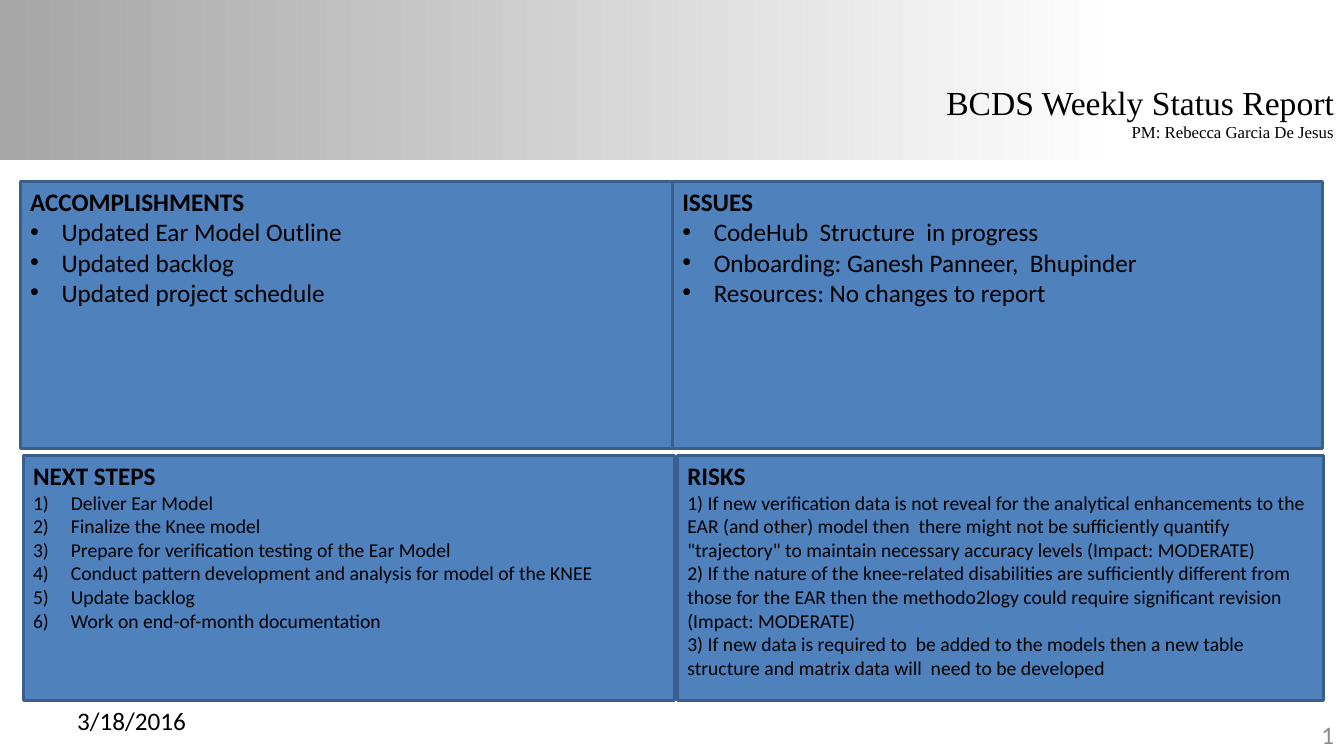
from lxml import etree
from pptx import Presentation
from pptx import util as u
from pptx.dml import color
from pptx.enum import shapes, text
from pptx.oxml import ns

COLORS = {
    "ink": "000000",
    "page": "8C8C8C",
    "panel": "4F81BD",
    "edge": "3A5F8C",
    "band_start": "A6A6A6",
    "band_end": "FFFFFF",
}
BODY, SERIF = "Calibri", "Times New Roman"
WIDTH, HEIGHT = 960, 540

ACCOMPLISHMENTS = [
    "Updated Ear Model Outline",
    "Updated backlog",
    "Updated project schedule",
]
ISSUES = [
    "CodeHub  Structure  in progress",
    "Onboarding: Ganesh Panneer,  Bhupinder",
    "Resources: No changes to report",
]
NEXT_STEPS = [
    "Deliver Ear Model",
    "Finalize the Knee model",
    "Prepare for verification testing of the Ear Model",
    "Conduct pattern development and analysis for model of the KNEE",
    "Update backlog",
    "Work on end-of-month documentation",
]
RISKS = [
    "1) If new verification data is not reveal for the analytical enhancements to the EAR "
    "(and other) model then  there might not be sufficiently quantify \"trajectory\" to "
    "maintain necessary accuracy levels (Impact: MODERATE)",
    "2) If the nature of the knee-related disabilities are sufficiently different from those "
    "for the EAR then the methodo2logy could require significant revision (Impact: MODERATE)",
    "3) If new data is required to  be added to the models then a new table structure and "
    "matrix data will  need to be developed",
]

PANELS = [
    ((14.4, 129.6, 466.56, 190.8), "ACCOMPLISHMENTS", ACCOMPLISHMENTS, 18, "bullet"),
    ((16.56, 325.44, 465.12, 174.96), "NEXT STEPS", NEXT_STEPS, 14, "number"),
    ((480.24, 129.6, 464.4, 190.8), "ISSUES", ISSUES, 18, "bullet"),
    ((483.84, 325.44, 461.52, 174.96), "RISKS", RISKS, 14, None),
]
MARKERS = {
    "bullet": (22.5, [("a:buFont", {"typeface": "Arial"}), ("a:buChar", {"char": "•"})]),
    "number": (27, [("a:buFont", {"typeface": "+mj-lt"}),
                    ("a:buAutoNum", {"type": "arabicParenR"})]),
}


def rgb(name):
    return color.RGBColor.from_string(COLORS[name])


def points(box):
    return [u.Pt(length) for length in box]


def write(paragraph, words, size, font=BODY, ink="ink", bold=False,
          align=text.PP_ALIGN.LEFT):
    paragraph.alignment = align
    run = paragraph.add_run()
    run.text = words
    run.font.name = font
    run.font.size = u.Pt(size)
    run.font.bold = bold
    run.font.color.rgb = rgb(ink)


def mark(paragraph, marker):
    indent, elements = MARKERS[marker]
    properties = paragraph._p.get_or_add_pPr()
    properties.set("marL", str(u.Pt(indent)))
    properties.set("indent", str(-u.Pt(indent)))
    for tag, attributes in elements:
        etree.SubElement(properties, ns.qn(tag), attributes)


def add_header(slide, box):
    left, top, width, height = box
    band = slide.shapes.add_shape(shapes.MSO_SHAPE.RECTANGLE, *points(box))
    band.shadow.inherit = False
    band.line.fill.background()
    band.fill.gradient()
    band.fill.gradient_angle = 0
    stops = band.fill.gradient_stops
    for stop, name, position in zip(stops, ("band_start", "band_end"), (0, 0.84)):
        stop.color.rgb = rgb(name)
        stop.position = position

    title_width, title_height = 294, 51
    title_box = (left + width - title_width, top + 54.7, title_width, title_height)
    title = slide.shapes.add_textbox(*points(title_box)).text_frame
    title.word_wrap = False
    title.auto_size = text.MSO_AUTO_SIZE.SHAPE_TO_FIT_TEXT
    right = text.PP_ALIGN.RIGHT
    write(title.paragraphs[0], "BCDS Weekly Status Report", 24, SERIF, align=right)
    write(title.add_paragraph(), "PM: Rebecca Garcia De Jesus", 12, SERIF, align=right)


def add_panel(slide, box, heading, items, size, marker):
    panel = slide.shapes.add_shape(shapes.MSO_SHAPE.RECTANGLE, *points(box))
    panel.shadow.inherit = False
    panel.fill.solid()
    panel.fill.fore_color.rgb = rgb("panel")
    panel.line.color.rgb = rgb("edge")
    panel.line.width = u.Pt(2)
    frame = panel.text_frame
    frame.word_wrap = True
    frame.vertical_anchor = text.MSO_ANCHOR.TOP
    write(frame.paragraphs[0], heading, 18, bold=True)
    for item in items:
        paragraph = frame.add_paragraph()
        if marker:
            mark(paragraph, marker)
        write(paragraph, item, size)


def add_footer(slide, box):
    left, top, width, height = box
    entry_width, entry_height = 224, 28.8
    entries = [
        (left + width - entry_width, top + 10, "1", "page", text.PP_ALIGN.RIGHT),
        (left + 48, top, "3/18/2016", "ink", text.PP_ALIGN.LEFT),
    ]
    for entry_left, entry_top, words, ink, align in entries:
        entry_box = (entry_left, entry_top, entry_width, entry_height)
        frame = slide.shapes.add_textbox(*points(entry_box)).text_frame
        frame.word_wrap = True
        frame.vertical_anchor = text.MSO_ANCHOR.MIDDLE
        write(frame.paragraphs[0], words, 18, ink=ink, align=align)


def main():
    deck = Presentation()
    deck.slide_width, deck.slide_height = u.Pt(WIDTH), u.Pt(HEIGHT)
    slide = deck.slides.add_slide(deck.slide_layouts[6])
    add_header(slide, (0, 0, WIDTH, 114))
    add_footer(slide, (0, 500.4, WIDTH, HEIGHT - 500.4))
    for panel in PANELS:
        add_panel(slide, *panel)
    deck.save("out.pptx")


if __name__ == "__main__":
    main()
